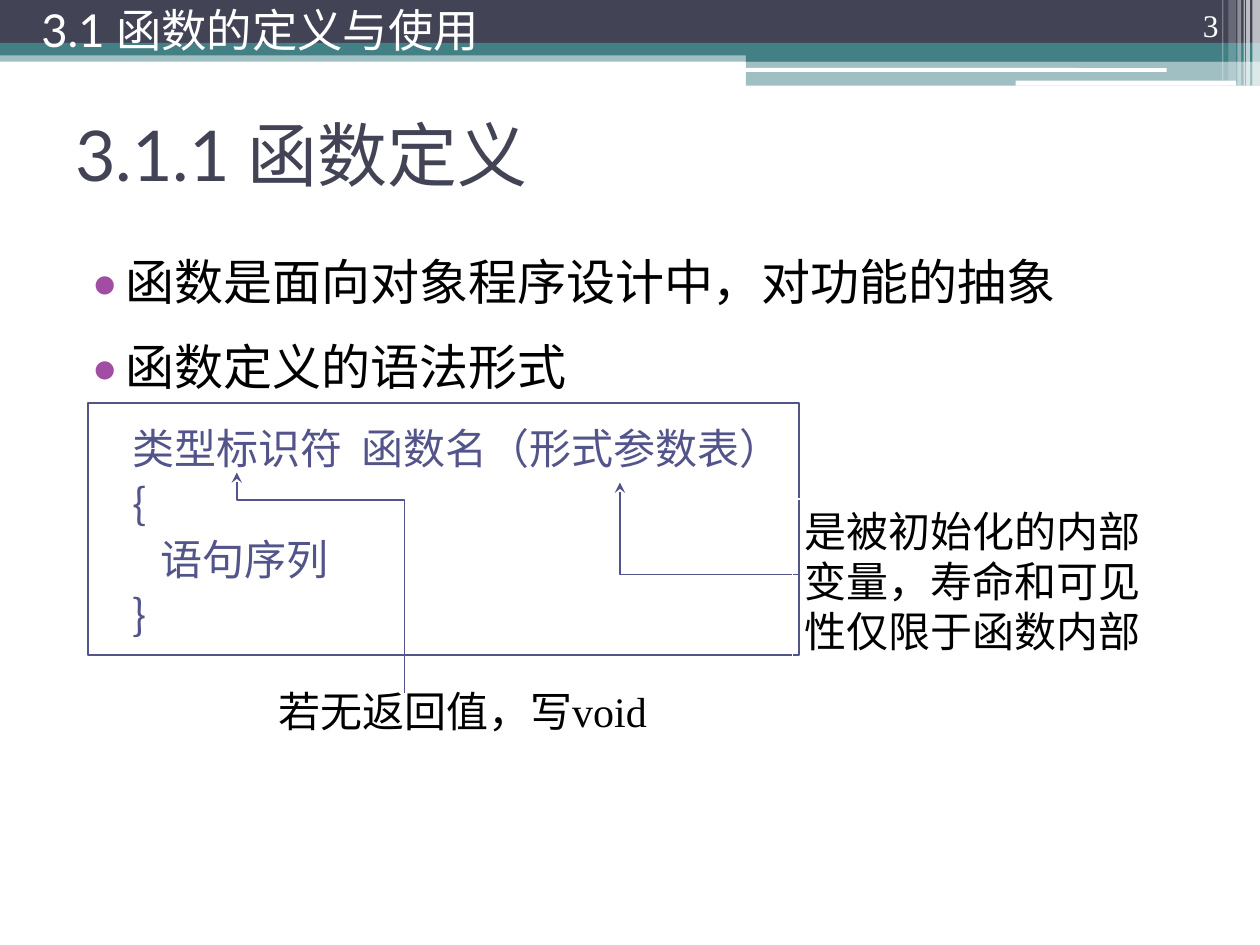
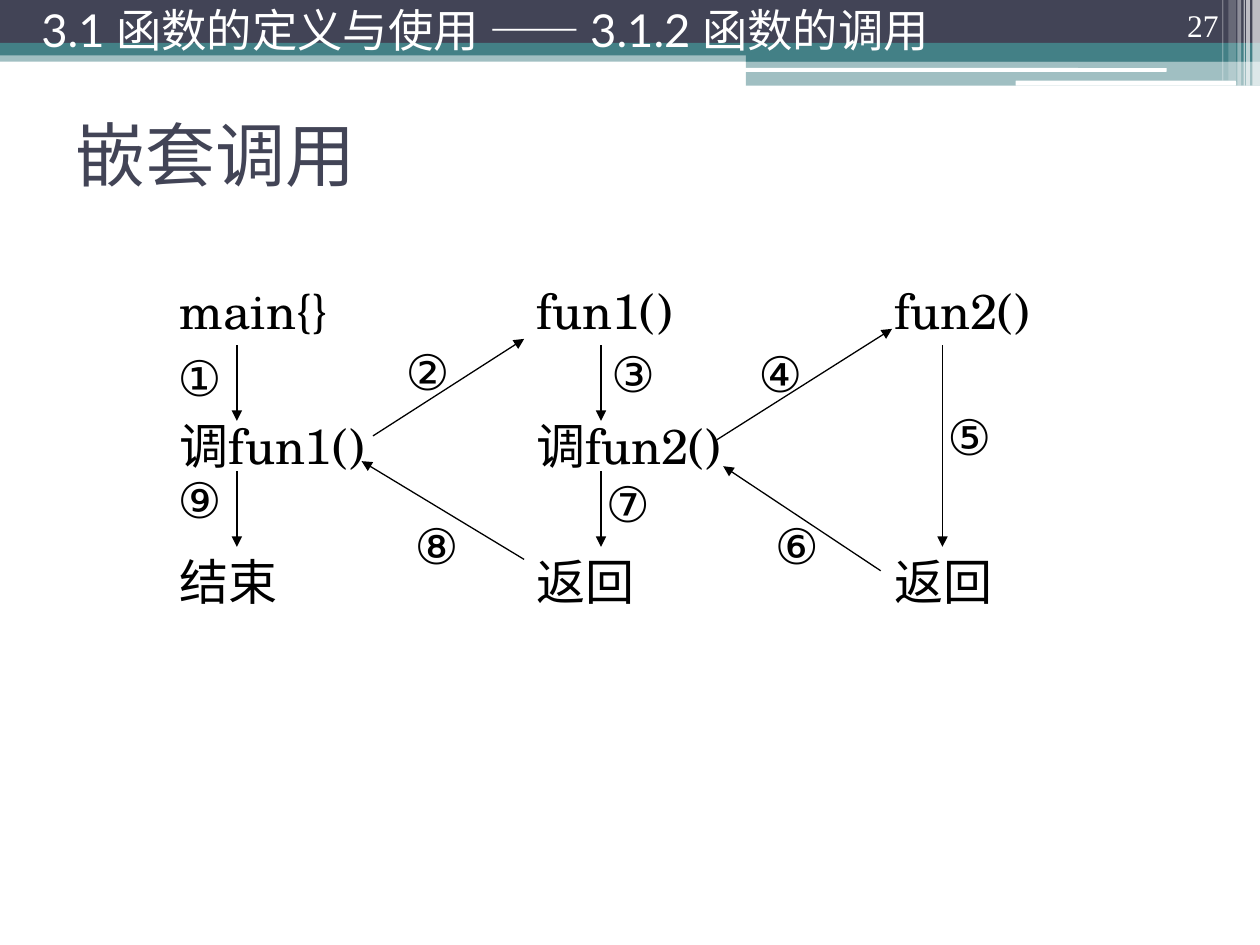
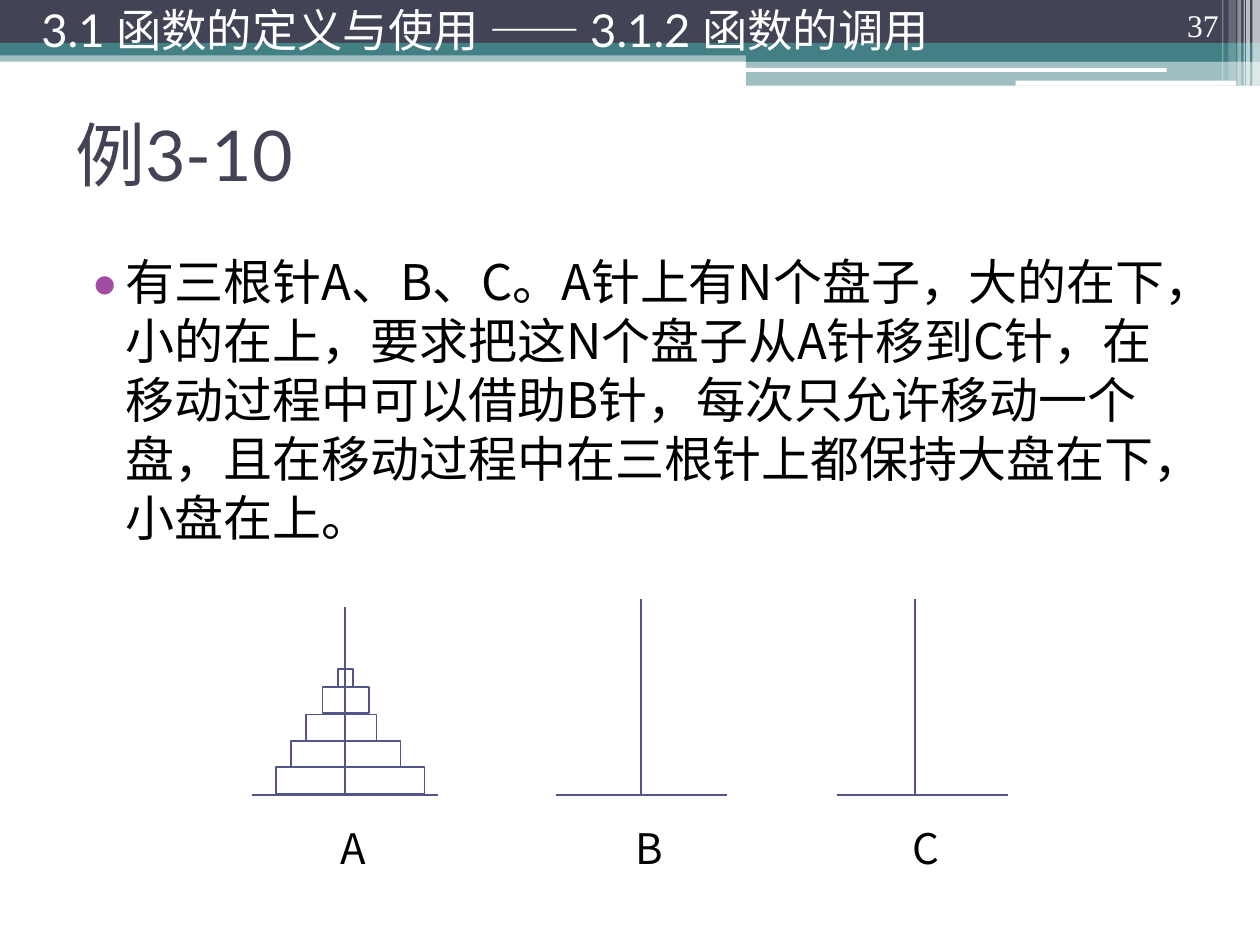
from pptx import Presentation, util as u
from pptx.dml.color import RGBColor
from pptx.enum import shapes, text
from pptx.oxml.ns import qn
from lxml import etree

PX = 9144  # 100 px to the inch
C = {"navy": "424456", "teal": "438086", "indigo": "53548A",
     "bullet": "A04DA3", "white": "FFFFFF", "black": "000000"}
LATO, NOTO = "Lato", "Noto Sans CJK SC"
SERIF, SCHOLA = "Times New Roman", "TeX Gyre Schola"
RECT, ROUND = shapes.MSO_SHAPE.RECTANGLE, shapes.MSO_SHAPE.ROUNDED_RECTANGLE
STRAIGHT = shapes.MSO_CONNECTOR.STRAIGHT
ALIGN, ANCHOR = text.PP_ALIGN, text.MSO_ANCHOR


def style(sp, fill=None, alpha=100, line=None, width=1, **ends):
    """Fill and outline of a shape or connector; ends: headEnd / tailEnd."""
    spPr = sp._element.spPr
    if hasattr(sp, "fill"):
        if fill:
            sp.fill.solid()
            sp.fill.fore_color.rgb = RGBColor.from_string(C[fill])
            if alpha < 100:
                clr = spPr.find(qn("a:solidFill"))[0]
                etree.SubElement(clr, qn("a:alpha"), val=str(alpha * 1000))
        else:
            sp.fill.background()
    if line:
        sp.line.color.rgb = RGBColor.from_string(C[line])
        sp.line.width = u.Pt(width)
        for tag, kind in ends.items():
            etree.SubElement(spPr.find(qn("a:ln")), qn("a:" + tag), type=kind)
    else:
        sp.line.fill.background()
    etree.SubElement(spPr, qn("a:effectLst"))


def write(sp, lines, size, font, color="black", align=ALIGN.LEFT,
          anchor=ANCHOR.TOP, inset=None, ea=NOTO):
    """Write one paragraph per line and return the paragraphs."""
    tf = sp.text_frame
    tf.word_wrap = True
    tf.vertical_anchor = anchor
    if inset is not None:
        tf.margin_left = tf.margin_right = tf.margin_top = tf.margin_bottom = inset
    for i, line in enumerate(lines):
        p = tf.add_paragraph() if i else tf.paragraphs[0]
        p.alignment = align
        r = p.add_run()
        r.text = line
        r.font.size = u.Pt(size)
        r.font.name = font
        r.font.color.rgb = RGBColor.from_string(C[color])
        etree.SubElement(r._r.get_or_add_rPr(), qn("a:ea"), typeface=ea)
    return tf.paragraphs


prs = Presentation()
prs.slide_width, prs.slide_height = 1000 * PX, 750 * PX

# Shared frame: bands, section header, page number, title, bulleted body
BANDS = [
    (RECT, 0, 40, 1000, 9, "teal", 50),
    (RECT, 0, 0, 1000, 34, "navy", 100),
    (RECT, 0, 34, 1000, 10, "teal", 100),
    (RECT, 592, 39, 408, 10, "teal", 100),
    (RECT, 592, 48, 408, 20, "teal", 50),
    (ROUND, 591, 54, 335, 3, "white", 100),
    (ROUND, 806, 64, 175, 4, "white", 100),
    (RECT, 994, 0, 6, 68, "white", 65),
    (RECT, 989, 0, 3, 68, "white", 65),
    (RECT, 987, 0, 1, 68, "white", 60),
    (RECT, 982, 0, 3, 68, "white", 40),
    (RECT, 975, 0, 6, 64, "white", 20),
    (RECT, 970, 0, 1, 64, "white", 30),
]
SECTION = "3.1 函数的定义与使用"
CALLS = SECTION + " —— 3.1.2 函数的调用"
PAGES = [
    ("3", SECTION, "3.1.1 函数定义",
     ["函数是面向对象程序设计中，对功能的抽象", "函数定义的语法形式"]),
    ("27", CALLS, "嵌套调用", []),
    ("37", CALLS, "例3-10",
     ["有三根针A、B、C。A针上有N个盘子，大的在下，小的在上，要求把这N个盘子"
      "从A针移到C针，在移动过程中可以借助B针，每次只允许移动一个盘，"
      "且在移动过程中在三根针上都保持大盘在下，小盘在上。"]),
]
slides, bodies = [], []
for number, section, title, points in PAGES:
    s = prs.slides.add_slide(prs.slide_layouts[6])
    slides.append(s)
    for kind, x, y, w, h, fill, alpha in BANDS:
        sp = s.shapes.add_shape(kind, x * PX, y * PX, w * PX, h * PX)
        style(sp, fill, alpha)
    sp = s.shapes.add_textbox(50 * PX, 63 * PX, 900 * PX, 117 * PX)
    write(sp, [title], 40, LATO, "navy", anchor=ANCHOR.MIDDLE)
    if points:
        sp = s.shapes.add_textbox(50 * PX, 195 * PX, 895 * PX, 524 * PX)
        bodies.append(sp)
        for i, p in enumerate(write(sp, points, 28, NOTO)):
            pPr = p._p.get_or_add_pPr()
            pPr.set("marL", str(40 * PX))
            pPr.set("indent", str(-28 * PX))
            clr = etree.SubElement(pPr, qn("a:buClr"))
            etree.SubElement(clr, qn("a:srgbClr"), val=C["bullet"])
            etree.SubElement(pPr, qn("a:buFont"), typeface=LATO)
            etree.SubElement(pPr, qn("a:buChar"), char="•")
            p.space_after = u.Pt(12)
            if i:
                p.space_before = u.Pt(3)
    sp = s.shapes.add_textbox(894 * PX, 0, 83 * PX, 40 * PX)
    write(sp, [number], 18, SERIF, "white", ALIGN.RIGHT, ANCHOR.BOTTOM)
    sp = s.shapes.add_textbox(23 * PX, 0, 883 * PX, 47 * PX)
    write(sp, [section], 25.9, LATO, "white", anchor=ANCHOR.MIDDLE)

definition, nesting, hanoi = slides

# Slide 1: syntax lines continue the body text, with a wide gap after the type
SYNTAX = [["类型标识符", " ", "函数名（形式参数表）"], ["{"], ["   语句序列"], ["}"]]
for runs in SYNTAX:
    p = bodies[0].text_frame.add_paragraph()
    pPr = p._p.get_or_add_pPr()
    pPr.set("marL", str(72 * PX))
    pPr.set("indent", str(-27 * PX))
    p.space_before = u.Pt(3)
    for part in runs:
        r = p.add_run()
        r.text = part
        r.font.size = u.Pt(24)
        r.font.name = NOTO
        r.font.color.rgb = RGBColor.from_string(C["indigo"])
        rPr = r._r.get_or_add_rPr()
        etree.SubElement(rPr, qn("a:ea"), typeface=NOTO)
        if part == " ":
            rPr.set("spc", "550")

# Slide 1: syntax frame, then notes and elbow arrows from back to front
sp = definition.shapes.add_shape(RECT, 70 * PX, 320 * PX, 564 * PX, 200 * PX)
style(sp, line="indigo")
PARTS = [
    (None, [(492, 383), (492, 456), (634, 456)]),
    ("是被初始化的内部变量，寿命和可见性仅限于函数内部", (629, 396, 300, 131)),
    ("若无返回值，写void", (211, 539, 316, 51)),
    (None, [(188, 375), (188, 397), (321, 397), (321, 550)]),
]
for note, place in PARTS:
    if note:
        sp = definition.shapes.add_shape(RECT, *[v * PX for v in place])
        style(sp, line="white", width=0.75)
        write(sp, [note], 24, SERIF)
    else:
        fb = definition.shapes.build_freeform(*place[0], scale=PX)
        fb.add_line_segments(place[1:], close=False)
        style(fb.convert_to_shape(), line="indigo", headEnd="stealth")

# Slide 2: one column per function, rows two text lines apart
LINE = 28 * 1.2 * 1.15
COLUMNS = [
    (133, ["main{}", "调fun1()", "结束"], [0, 1, 1]),
    (416, ["fun1()", "调fun2()", "返回"], [0, 1, 1]),
    (700, ["fun2()", "返回"], [0, 3]),
]
for x, lines, skips in COLUMNS:
    sp = nesting.shapes.add_textbox(x * PX, 211 * PX, 183 * PX, 283 * PX)
    paras = write(sp, lines, 28, SCHOLA, align=ALIGN.JUSTIFY, ea=SCHOLA)
    for p, skip in zip(paras, skips):
        p.line_spacing = 1.15
        if skip:
            p.space_before = u.Pt(round(skip * LINE, 1))

# Slide 2: numbered steps, each an arrow and its label
STEPS = [
    ("①", (141, 276), (188, 274), (188, 334)),
    ("②", (322, 271), (296, 346), (416, 269)),
    ("③", (485, 273), (477, 274), (477, 334)),
    ("④", (602, 273), (569, 349), (708, 261)),
    ("⑤", (752, 323), (748, 274), (748, 434)),
    ("⑥", (615, 409), (699, 453), (574, 370)),
    ("⑦", (481, 376), (477, 374), (477, 434)),
    ("⑧", (329, 409), (416, 444), (287, 366)),
    ("⑨", (141, 373), (188, 374), (188, 434)),
]
for mark, (x, y), (x1, y1), (x2, y2) in STEPS:
    cx = nesting.shapes.add_connector(STRAIGHT, x1 * PX, y1 * PX, x2 * PX, y2 * PX)
    style(cx, line="black", width=0.75, tailEnd="triangle")
    sp = nesting.shapes.add_textbox(x * PX, y * PX, 33 * PX, 40 * PX)
    write(sp, [mark], 28, SCHOLA, align=ALIGN.JUSTIFY, inset=0, ea=SCHOLA)

# Slide 3: three pegs on their bases, with labels
FLOOR = 631
PEGS = [  # label, base left and right, peg x and top, label left and width
    ("A", 200, 348, 274, 482, 243, 74),
    ("B", 441, 577, 509, 475, 478, 74),
    ("C", 664, 800, 726, 475, 701, 68),
]
for label, left, right, peg, top, x, w in PEGS:
    for x1, x2, y2 in [(left, right, FLOOR), (peg, peg, top)]:
        cx = hanoi.shapes.add_connector(STRAIGHT, x1 * PX, FLOOR * PX, x2 * PX, y2 * PX)
        style(cx, line="indigo")
    sp = hanoi.shapes.add_shape(RECT, x * PX, 648 * PX, w * PX, 43 * PX)
    style(sp, line="white")
    write(sp, [label], 24, NOTO, align=ALIGN.CENTER)

# Slide 3: discs on peg A, largest first
DISCS = [(219, 609, 118, 21), (231, 588, 87, 21), (243, 567, 56, 21),
         (256, 545, 37, 21), (268, 531, 12, 14)]
for x, y, w, h in DISCS:
    sp = hanoi.shapes.add_shape(RECT, x * PX, y * PX, w * PX, h * PX)
    style(sp, line="indigo")

prs.save("out.pptx")
